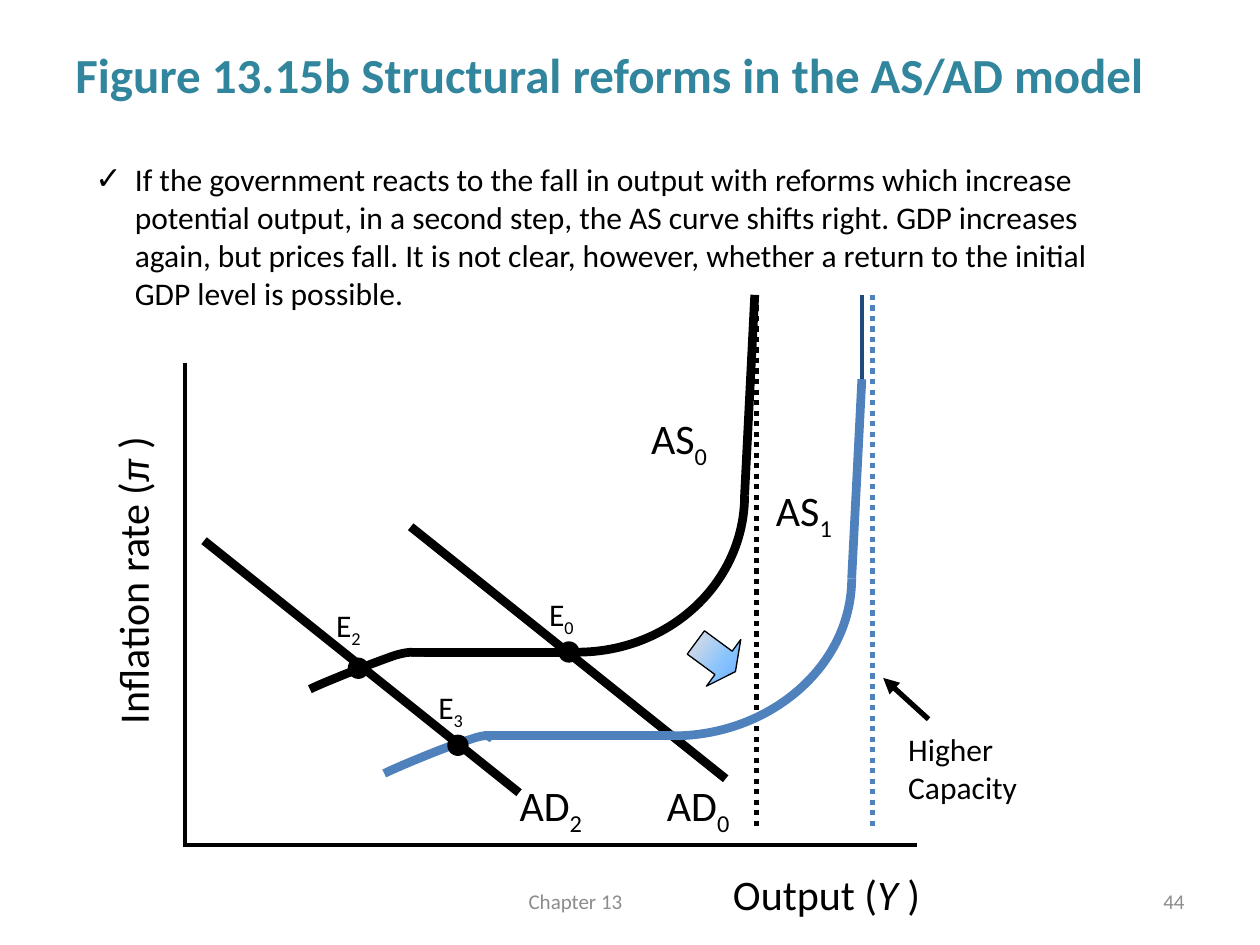
from pptx import Presentation, util as u
from pptx.dml.color import RGBColor
from pptx.enum import dml, shapes as sh, text as t
from pptx.oxml.ns import qn
from lxml import etree
import copy

Pt = u.Pt
BLACK, BLUE, NAVY, GREY = "000000", "4F81BD", "1F497D", "8C8C8C"


def hue(code):
    return RGBColor.from_string(code)


def put(runs, x, y, w, h, size=24, color=BLACK, bold=False, turn=0,
        align=t.PP_ALIGN.LEFT, anchor=t.MSO_ANCHOR.TOP, bullet=None):
    """Add a text box; runs are (text, style) pairs, style "", "i" or "sub"."""
    box = slide.shapes.add_textbox(Pt(x), Pt(y), Pt(w), Pt(h))
    box.rotation = turn
    frame = box.text_frame
    frame.word_wrap = True
    frame.vertical_anchor = anchor
    para = frame.paragraphs[0]
    para.alignment = align
    for words, style in runs:
        run = para.add_run()
        run.text = words
        font = run.font
        font.name, font.size, font.bold = "Calibri", Pt(size), bold
        font.italic = style == "i"
        font.color.rgb = hue(color)
        if style == "sub":
            font._element.set("baseline", "-25000")
    if bullet:
        props = para._p.get_or_add_pPr()
        props.set("marL", str(Pt(22.5)))
        props.set("indent", str(Pt(-22.5)))
        etree.SubElement(props, qn("a:buFont")).set("typeface", "Calibri")
        etree.SubElement(props, qn("a:buChar")).set("char", bullet)


prs = Presentation()
prs.slide_width, prs.slide_height = Pt(720), Pt(540)
slide = prs.slides.add_slide(prs.slide_layouts[6])
parts = slide.shapes

# Title and footer
put([("Figure 13.15b Structural reforms in the AS/AD model", "")],
    36, 22, 648, 67, size=28, color="31859C", bold=True)
foot = dict(size=12, color=GREY, anchor=t.MSO_ANCHOR.MIDDLE)
put([("Chapter 13", "")], 155, 500.4, 347.8, 28.8,
    align=t.PP_ALIGN.CENTER, **foot)
put([("44", "")], 516.2, 500.4, 167.8, 28.8, align=t.PP_ALIGN.RIGHT, **foot)

# Strokes: two points make a line, 3n + 1 points a chain of Bezier curves
DOT = dml.MSO_LINE.ROUND_DOT
strokes = [
    # Axes
    (BLACK, 2.25, None, [(105.7, 207.2), (105.7, 483)]),
    (BLACK, 2.25, None, [(104.5, 483), (524, 483)]),
    # Capacity limits
    (BLUE, 3, DOT, [(498.7, 168.5), (498.7, 474.5)]),
    (BLACK, 3, DOT, [(432.4, 168.5), (432.4, 474.5)]),
    # First supply curve
    (BLACK, 5, None, [(329.8, 372.7), (383, 372.7), (425.5, 332.6),
                      (425.5, 283)]),
    (BLACK, 5, None, [(329.8, 372.7), (234.7, 372.7)]),
    (BLACK, 5, None, [(425.5, 283), (431.3, 168.5)]),
    (BLACK, 5, None, [(239, 374.4), (237.6, 373), (236.2, 371.5), (226, 374.4),
                      (215.3, 378), (185.8, 389.5), (177.1, 393.8)]),
    # First demand curve
    (BLACK, 5, None, [(234.7, 301), (414.7, 445)]),
    # Second supply curve
    (NAVY, 2.25, None, [(492.5, 222.5), (492.5, 168.5)]),
    (BLUE, 5, None, [(384.5, 420.5), (440.6, 420.5), (486.7, 380),
                     (486.7, 330.5)]),
    (BLUE, 5, None, [(384.5, 420.5), (294.5, 420.5)]),
    (BLUE, 5, None, [(486.7, 330.5), (492.5, 216.7)]),
    (BLUE, 5, None, [(294.5, 420.5), (276.5, 420.5)]),
    (BLUE, 5, None, [(281.5, 422.6), (280.1, 420.5), (278.6, 419),
                     (268.6, 422.6), (257.8, 425.5), (228.2, 437.8),
                     (219.6, 442)]),
    # Second demand curve
    (BLACK, 5, None, [(116.6, 309), (296.6, 453)]),
    # Pointer to the new capacity, last so that it gets the arrowhead
    (BLACK, 3, None, [(530.6, 411), (504.7, 387.4)]),
]
for color, width, dash, pts in strokes:
    if len(pts) == 2:
        (x1, y1), (x2, y2) = pts
        mark = parts.add_connector(sh.MSO_CONNECTOR.STRAIGHT,
                                   Pt(x1), Pt(y1), Pt(x2), Pt(y2))
    else:
        grid = [(round(x * 100), round(y * 100)) for x, y in pts]
        pen = parts.build_freeform(*grid[0], scale=Pt(0.01))
        pen.add_line_segments(grid[1:], close=False)
        mark = pen.convert_to_shape()
        mark.fill.background()
        # Turn each three line steps into one cubic curve
        steps = list(mark._element.spPr.iter(qn("a:lnTo")))
        for i in range(0, len(steps), 3):
            bend = etree.Element(qn("a:cubicBezTo"))
            steps[i].addprevious(bend)
            for step in steps[i:i + 3]:
                bend.append(step[0])
                step.getparent().remove(step)
    mark.line.color.rgb = hue(color)
    mark.line.width = Pt(width)
    if dash:
        mark.line.dash_style = dash
    etree.SubElement(mark._element.spPr, qn("a:effectLst"))
etree.SubElement(mark.line._get_or_add_ln(), qn("a:tailEnd")).set(
    "type", "triangle")

# Equilibrium dots, then white patches over the curve joints
OVAL, RECT = sh.MSO_SHAPE.OVAL, sh.MSO_SHAPE.RECTANGLE
for kind, color, x, y, w, h in [
        (OVAL, BLACK, 319, 366.5, 12.2, 12.2),
        (OVAL, BLACK, 198.7, 375.8, 12.2, 12.2),
        (OVAL, BLACK, 255.6, 419.8, 12.2, 12.2),
        (RECT, "FFFFFF", 234, 375.4, 8.6, 5.6),
        (RECT, "FFFFFF", 278.6, 424.1, 8.6, 5.6)]:
    spot = parts.add_shape(kind, Pt(x), Pt(y), Pt(w), Pt(h))
    spot.shadow.inherit = False
    spot.fill.solid()
    spot.fill.fore_color.rgb = hue(color)
    spot.line.fill.background()

# Shift arrow with a four-stop gradient
shift = parts.add_shape(sh.MSO_SHAPE.UP_ARROW,
                        Pt(392.4), Pt(361.4), Pt(33.1), Pt(28.1))
shift.rotation = 126.4
shift.adjustments[0], shift.adjustments[1] = 0.5, 0.3
shift.shadow.inherit = False
shift.line.color.rgb = hue(BLACK)
shift.line.width = Pt(0.75)
shift.fill.gradient()
shift.fill.gradient_angle = 270
stops = shift._element.spPr.find(qn("a:gradFill")).find(qn("a:gsLst"))
for stop in list(stops):
    stops.append(copy.deepcopy(stop))
ramp = [(0, "5E9EFF"), (0.4, "85C2FF"), (0.7, "C4D6EB"), (1, "FFEBFA")]
for stop, (place, color) in zip(shift.fill.gradient_stops, ramp):
    stop.position = place
    stop.color.rgb = hue(color)

# Axis titles
put([("Output (", ""), ("Y ", "i"), (")", "")], 411.8, 492.5, 131.8, 36)
put([("Inflation rate (", ""), ("π ", "i"), (")", "")],
    -26.4, 301, 203.8, 36, turn=270)

# Curve and point labels
for name, sub, x, y in [("AS", "0", 365, 232.2), ("AS", "1", 436.3, 273.6),
                        ("AD", "0", 374, 442), ("AD", "2", 289.8, 442)]:
    put([(name, ""), (sub, "sub")], x, y, 77.8, 36)
for sub, x, y in [("0", 306.7, 336.6), ("3", 243.4, 389.5), ("2", 185, 342.7)]:
    put([("E", ""), (sub, "sub")], x, y, 48.2, 28.8, size=18)
put([("Higher Capacity", "")], 511.9, 413.6, 90, 51, size=18)

# Explanation
put([("If the government reacts to the fall in output with reforms which "
      "increase potential output, in a second step, the AS curve shifts right. "
      "GDP increases again, but prices fall. It is not clear, however, whether "
      "a return to the initial GDP level is possible.", "")],
    47.5, 88, 614.2, 116.6, size=18, bullet="✓")

prs.save("out.pptx")
